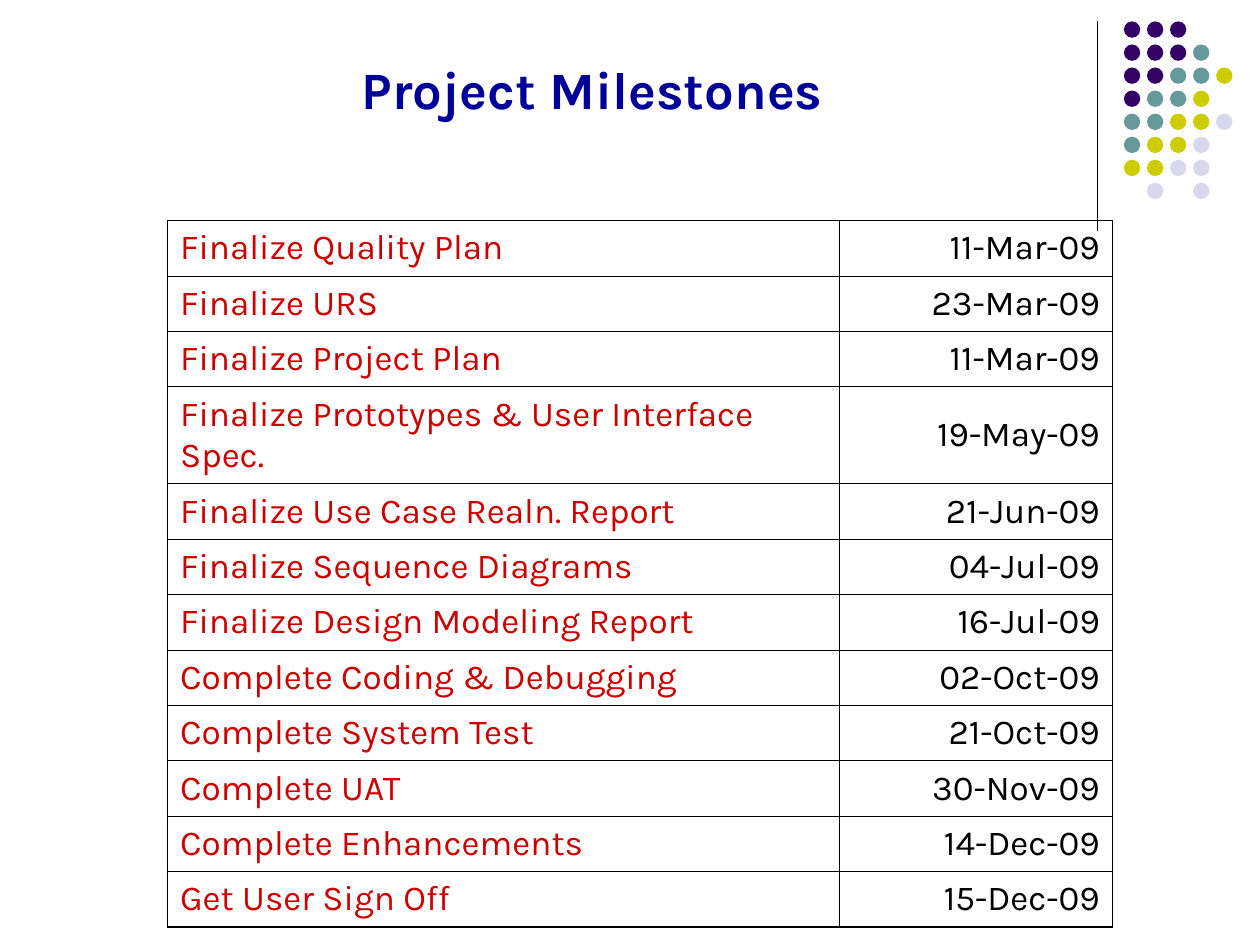
import pptx
import pptx.dml.color
import pptx.enum.shapes
import pptx.enum.text
import pptx.oxml.ns
import pptx.util
from lxml import etree

Inches = pptx.util.Inches
Pt = pptx.util.Pt
qn = pptx.oxml.ns.qn
ALIGN = pptx.enum.text.PP_ALIGN
ANCHOR = pptx.enum.text.MSO_ANCHOR

FONT = "Karla"
BLACK = "000000"
DOTS = ["PPP", "PPPT", "PPTTY", "PTTY", "TTYYL", "TYYL", "YYLL", " L L"]
HUES = {"P": "330066", "T": "669999", "Y": "CCCC00", "L": "D8D8EC"}
STEPS = [
    ("Finalize Quality Plan", "11-Mar-09"),
    ("Finalize URS", "23-Mar-09"),
    ("Finalize Project Plan", "11-Mar-09"),
    ("Finalize Prototypes & User Interface Spec.", "19-May-09"),
    ("Finalize Use Case Realn. Report", "21-Jun-09"),
    ("Finalize Sequence Diagrams", "04-Jul-09"),
    ("Finalize Design Modeling Report", "16-Jul-09"),
    ("Complete Coding & Debugging", "02-Oct-09"),
    ("Complete System Test", "21-Oct-09"),
    ("Complete UAT", "30-Nov-09"),
    ("Complete Enhancements", "14-Dec-09"),
    ("Get User Sign Off", "15-Dec-09"),
]
TALL = 3


def paint(target, color):
    if hasattr(target, "solid"):
        target.solid()
        target = target.fore_color
    else:
        target = target.color
    target.rgb = pptx.dml.color.RGBColor.from_string(color)


def style(frame, size, color, align, bold=False):
    para = frame.paragraphs[0]
    para.alignment = align
    font = para.runs[0].font
    font.name, font.size, font.bold = FONT, Pt(size), bold
    paint(font, color)


def add_title(slide, text):
    title = slide.shapes.title
    title.left, title.top = Inches(2.77), Inches(0.4)
    title.width, title.height = Inches(4.05), Inches(0.6)
    frame = title.text_frame
    frame.text = text
    frame.word_wrap = True
    frame.auto_size = pptx.enum.text.MSO_AUTO_SIZE.NONE
    frame.vertical_anchor = ANCHOR.TOP
    style(frame, 30, "000099", ALIGN.LEFT, True)


def add_rule(slide):
    rule = slide.shapes.add_connector(
        pptx.enum.shapes.MSO_CONNECTOR.STRAIGHT,
        Inches(8.71), Inches(0.17), Inches(8.71), Inches(1.83))
    paint(rule.line.fill, BLACK)
    rule.line.width = Pt(0.75)
    etree.SubElement(rule.element.spPr, qn("a:effectLst"))


def add_dots(slide):
    group = slide.shapes.add_group_shape()
    pitch = 0.183
    for row, keys in enumerate(DOTS):
        for col, key in enumerate(keys):
            if key in HUES:
                dot = group.shapes.add_shape(
                    pptx.enum.shapes.MSO_SHAPE.OVAL,
                    Inches(8.92 + col * pitch), Inches(0.17 + row * pitch),
                    Inches(0.13), Inches(0.13))
                dot.shadow.inherit = False
                paint(dot.fill, HUES[key])
                dot.line.fill.background()


def add_edge(cell, side, width):
    edge = etree.SubElement(cell._tc.get_or_add_tcPr(), qn("a:ln" + side))
    edge.set("w", str(Pt(width)))
    fill = etree.SubElement(edge, qn("a:solidFill"))
    etree.SubElement(fill, qn("a:srgbClr")).set("val", BLACK)


def fill_cell(cell, text, color, align, outer):
    cell.text = text
    cell.vertical_anchor = ANCHOR.MIDDLE
    cell.margin_left = cell.margin_right = Inches(0.1)
    cell.margin_top = cell.margin_bottom = Inches(0.05)
    style(cell.text_frame, 20, color, align)
    for side in "LRTB":
        add_edge(cell, side, 1.08 if side in outer else 0.45)
    cell.fill.background()


def add_steps(slide):
    table = slide.shapes.add_table(
        len(STEPS), 2, Inches(1.33), Inches(1.75),
        Inches(7.5), Inches(5.57)).table
    table.first_row = table.horz_banding = False
    table.columns[0].width = Inches(5.33)
    table.columns[1].width = Inches(2.17)
    for row, (step, date) in enumerate(STEPS):
        table.rows[row].height = Inches(0.77 if row == TALL else 0.44)
        ends = {0: "T", len(STEPS) - 1: "B"}.get(row, "")
        fill_cell(table.cell(row, 0), step, "CC0000", ALIGN.LEFT, "L" + ends)
        fill_cell(table.cell(row, 1), date, BLACK, ALIGN.RIGHT, "R" + ends)


def main():
    deck = pptx.Presentation()
    deck.slide_width, deck.slide_height = Inches(10), Inches(7.5)
    slide = deck.slides.add_slide(deck.slide_layouts[5])
    add_rule(slide)
    add_dots(slide)
    add_title(slide, "Project Milestones")
    add_steps(slide)
    deck.save("out.pptx")


if __name__ == "__main__":
    main()
